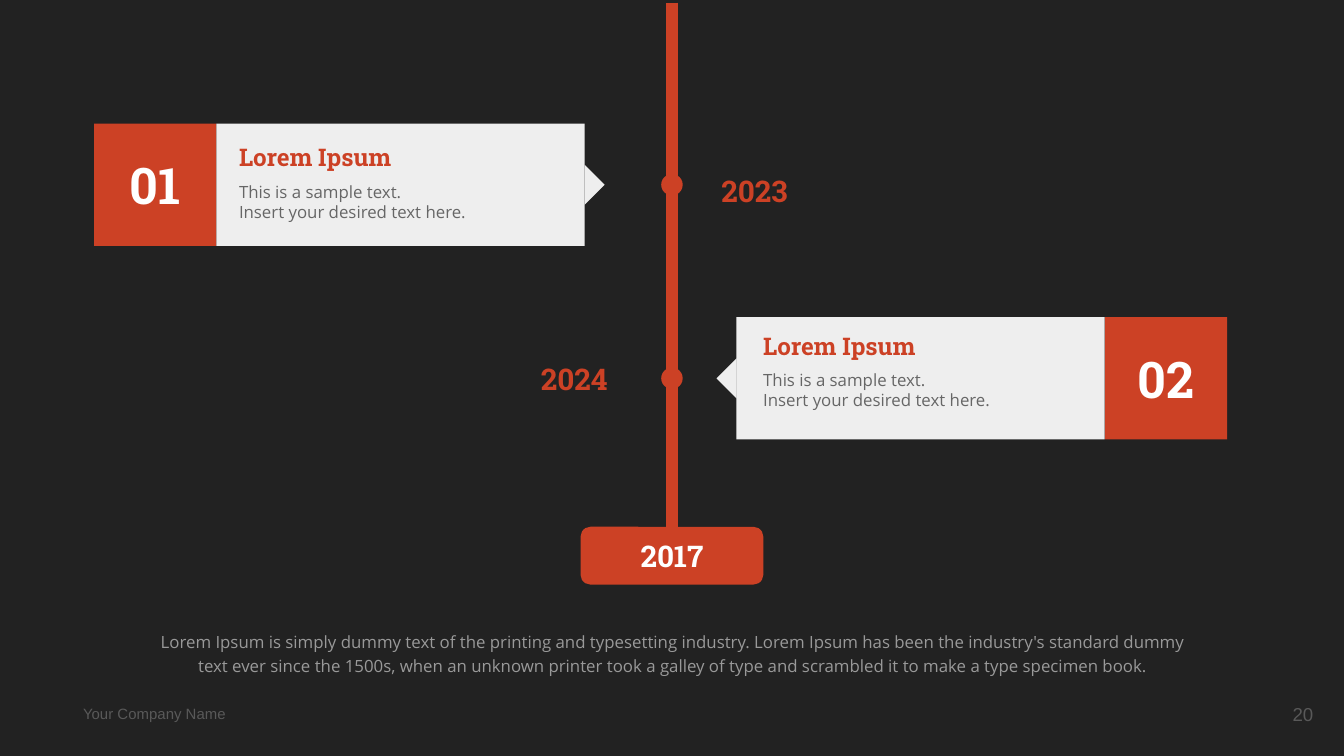
import pptx
import pptx.dml.color
import pptx.enum.shapes
import pptx.enum.text
import pptx.oxml
import pptx.util

Inches = pptx.util.Inches
Shape = pptx.enum.shapes.MSO_SHAPE
Align = pptx.enum.text.PP_ALIGN
Anchor = pptx.enum.text.MSO_ANCHOR

ACCENT = "CC4125"
PANEL = "EEEEEE"
WHITE = "FFFFFF"
FOOTER = "595959"
SLAB = "Roboto Slab"
SANS = "Open Sans"

SLIDE_WIDTH = 10
SLIDE_HEIGHT = SLIDE_WIDTH * 9 / 16
AXIS = SLIDE_WIDTH / 2
CARD_HEIGHT = 0.91
PANEL_WIDTH = 2.74
DOT_SIZE = 0.16
POINTER_SIZE = 0.21


def color(hex_string):
    return pptx.dml.color.RGBColor.from_string(hex_string)


def write(shape, text, size, font, hex_string, bold=False, align=Align.LEFT,
          anchor=Anchor.MIDDLE, line_spacing=None):
    frame = shape.text_frame
    frame.word_wrap = True
    frame.vertical_anchor = anchor
    frame.margin_left = frame.margin_right = Inches(0.1)
    frame.margin_top = frame.margin_bottom = Inches(0.1)
    frame.text = text
    for paragraph in frame.paragraphs:
        paragraph.alignment = align
        if line_spacing:
            paragraph.line_spacing = line_spacing
        for run in paragraph.runs:
            run.font.size = pptx.util.Pt(size)
            run.font.name = font
            run.font.bold = bold
            run.font.color.rgb = color(hex_string)


def add_filled(shapes, kind, left, top, width, height, fill):
    shape = shapes.add_shape(kind, Inches(left), Inches(top), Inches(width), Inches(height))
    shape.fill.solid()
    shape.fill.fore_color.rgb = color(fill)
    shape.line.fill.background()
    shape.shadow.inherit = False
    return shape


def add_text(shapes, left, top, width, height, *content, **style):
    box = shapes.add_textbox(Inches(left), Inches(top), Inches(width), Inches(height))
    write(box, *content, **style)
    return box


def add_axis(slide, left, top, width, height):
    # Start year
    start = add_filled(slide.shapes, Shape.ROUNDED_RECTANGLE, left, top, width, height, ACCENT)
    start.adjustments[0] = 0.17
    write(start, "2017", 16, SLAB, WHITE, bold=True, align=Align.CENTER)

    # Vertical time line, joined to the start year
    line = slide.shapes.add_connector(
        pptx.enum.shapes.MSO_CONNECTOR.STRAIGHT,
        Inches(AXIS), Inches(0.02), Inches(AXIS), Inches(top))
    line.end_connect(start, 0)
    line.line.color.rgb = color(ACCENT)
    line.line.width = pptx.util.Pt(6)
    line._element.spPr.append(pptx.oxml.parse_xml(
        '<a:effectLst xmlns:a="http://schemas.openxmlformats.org/drawingml/2006/main"/>'))


def add_milestone(slide, left, top, number, year, on_left, text_indent, heading_drop):
    shapes = slide.shapes.add_group_shape().shapes
    middle = top + CARD_HEIGHT / 2
    if on_left:
        number_left, panel_left = left, left + CARD_HEIGHT
        pointer_x, rotation = panel_left + PANEL_WIDTH, 225
        year_left, year_align = AXIS + 0.27, Align.LEFT
    else:
        number_left, panel_left = left + PANEL_WIDTH, left
        pointer_x, rotation = panel_left, 45
        year_left, year_align = AXIS - 1.28, Align.RIGHT

    # Dot on the time line
    add_filled(shapes, Shape.OVAL, AXIS - DOT_SIZE / 2, middle - DOT_SIZE / 2,
               DOT_SIZE, DOT_SIZE, ACCENT)

    # Card: number, panel and pointer
    square = add_filled(shapes, Shape.RECTANGLE, number_left, top,
                        CARD_HEIGHT, CARD_HEIGHT, ACCENT)
    write(square, number, 27, SLAB, WHITE, bold=True, align=Align.CENTER)
    add_filled(shapes, Shape.RECTANGLE, panel_left, top, PANEL_WIDTH, CARD_HEIGHT, PANEL)
    pointer = add_filled(shapes, Shape.RIGHT_TRIANGLE, pointer_x - POINTER_SIZE / 2,
                         middle - POINTER_SIZE / 2, POINTER_SIZE, POINTER_SIZE, PANEL)
    pointer.rotation = rotation

    # Card text and year
    text_left, heading_top = panel_left + text_indent, top + heading_drop
    add_text(shapes, text_left, heading_top + 0.18, 2.51, 0.46,
             "This is a sample text.\nInsert your desired text here.", 9, SANS, "666666")
    add_text(shapes, text_left, heading_top, 2.51, 0.16,
             "Lorem Ipsum", 13, SLAB, ACCENT, bold=True)
    add_text(shapes, year_left, heading_top + 0.16, 0.9, 0.33,
             year, 16, SLAB, ACCENT, bold=True, align=year_align)


def add_footer(slide, left, top, width, height):
    add_text(slide.shapes, left, top + 0.08, 1.67, 0.26,
             "Your Company Name", 8, "Arial", FOOTER)
    add_text(slide.shapes, left + width - 0.6, top, 0.6, height,
             "20", 10, "Arial", FOOTER, align=Align.RIGHT)


def main():
    presentation = pptx.Presentation()
    presentation.slide_width = Inches(SLIDE_WIDTH)
    presentation.slide_height = Inches(SLIDE_HEIGHT)
    slide = presentation.slides.add_slide(presentation.slide_layouts[6])
    slide.background.fill.solid()
    slide.background.fill.fore_color.rgb = color("222222")

    add_axis(slide, 4.32, 3.92, 1.36, 0.43)
    add_milestone(slide, 0.7, 0.92, "01", "2023", True, 0.07, 0.17)
    add_milestone(slide, 5.48, 2.36, "02", "2024", False, 0.1, 0.13)

    # Closing paragraph
    add_text(slide.shapes, 1.09, 4.57, 7.82, 0.6,
             "Lorem Ipsum is simply dummy text of the printing and typesetting industry. "
             "Lorem Ipsum has been the industry's standard dummy text ever since the 1500s, "
             "when an unknown printer took a galley of type and scrambled it to make a type "
             "specimen book.",
             9, SANS, "999999", align=Align.CENTER, anchor=Anchor.TOP, line_spacing=1.2)

    add_footer(slide, 0.52, 5.1, 9.35, 0.43)
    presentation.save("out.pptx")


if __name__ == "__main__":
    main()
